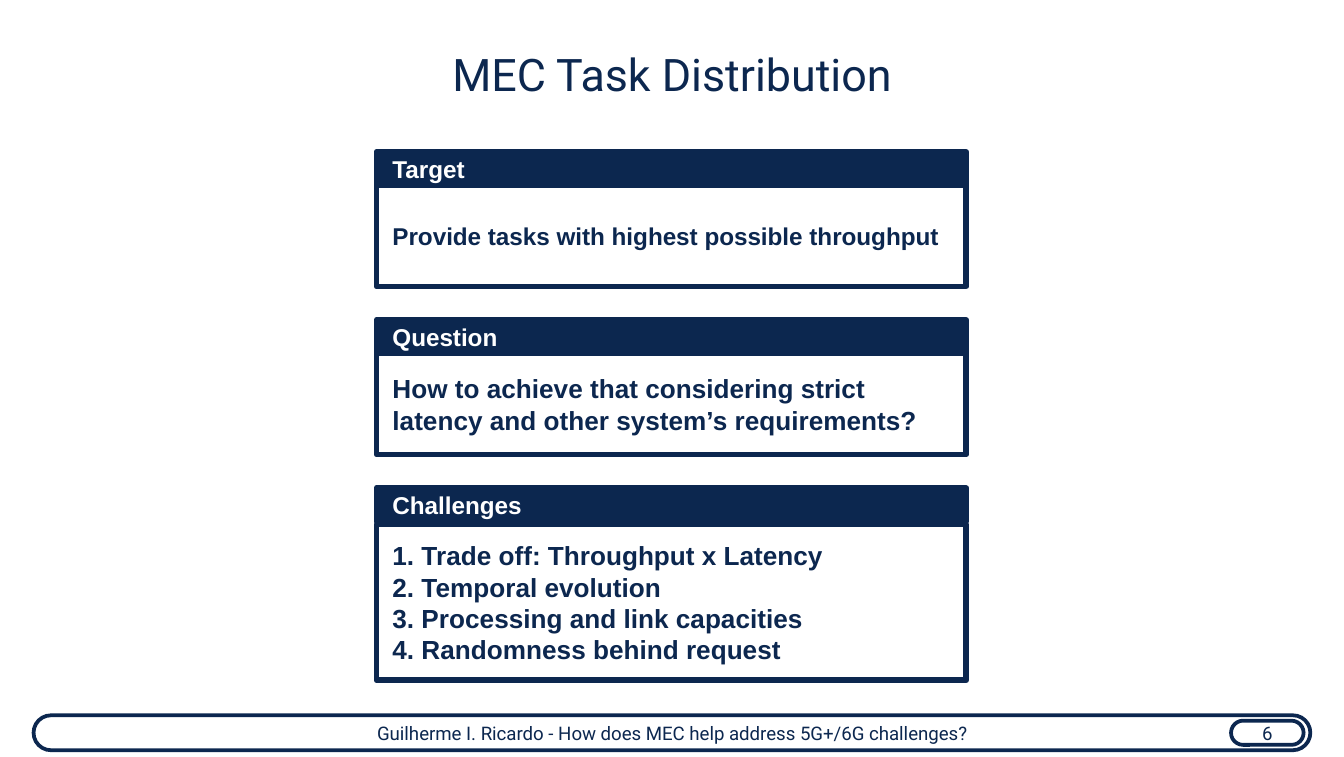
from dataclasses import dataclass

from pptx import Presentation
from pptx.dml.color import RGBColor
from pptx.enum.shapes import MSO_SHAPE
from pptx.enum.text import MSO_ANCHOR, PP_ALIGN
from pptx.util import Inches, Pt

RECTANGLE, PILL = MSO_SHAPE.RECTANGLE, MSO_SHAPE.ROUNDED_RECTANGLE
LEFT, CENTER = PP_ALIGN.LEFT, PP_ALIGN.CENTER
TOP, MIDDLE = MSO_ANCHOR.TOP, MSO_ANCHOR.MIDDLE
TITLE_ONLY = 5


@dataclass(frozen=True)
class Theme:
    navy: RGBColor = RGBColor(0x0C, 0x27, 0x4F)
    white: RGBColor = RGBColor(0xFF, 0xFF, 0xFF)
    title_font: str = "Roboto"
    body_font: str = "Arial"
    title_size: int = 24
    heading_size: int = 13
    body_size: int = 14
    footer_size: int = 10
    panel_line: int = 3
    footer_line: int = 2


THEME = Theme()


def set_attributes(target, values):
    for name, value in values.items():
        setattr(target, name, value)


def write_text(shape, lines, font, alignment=LEFT, anchor=MIDDLE, insets=(0.1, 0.1)):
    """Fill a shape with one paragraph per line; insets are (sides, top and bottom)."""
    side, end = (Inches(inset) for inset in insets)
    frame = shape.text_frame
    set_attributes(frame, {
        "word_wrap": True, "vertical_anchor": anchor,
        "margin_left": side, "margin_right": side,
        "margin_top": end, "margin_bottom": end,
    })
    frame.text = "\n".join(lines)
    color = font.pop("color")
    for paragraph in frame.paragraphs:
        paragraph.alignment = alignment
        set_attributes(paragraph.font, font)
        paragraph.font.color.rgb = color


def add_box(shapes, kind, box, line_width, fill=None):
    shape = shapes.add_shape(kind, *(Inches(length) for length in box))
    shape.shadow.inherit = False
    if fill is None:
        shape.fill.background()
    else:
        shape.fill.solid()
        shape.fill.fore_color.rgb = fill
    shape.line.color.rgb = THEME.navy
    shape.line.width = Pt(line_width)
    return shape


def place_title(slide, box, text):
    title = slide.shapes.title
    set_attributes(title, dict(zip(("left", "top", "width", "height"), map(Inches, box))))
    font = {"name": THEME.title_font, "size": Pt(THEME.title_size), "color": THEME.navy}
    write_text(title, [text], font, CENTER, TOP, (0, 0.1))


def add_panel(slide, box, heading, lines, body_size=THEME.body_size, gap=0):
    """A heading bar above a framed body, grouped together."""
    left, top, width, height = box
    bar_height = 0.25
    body_top = top + bar_height + gap
    shapes = slide.shapes.add_group_shape().shapes
    parts = (
        ((left, body_top, width, top + height - body_top),
         lines, body_size, THEME.white, THEME.navy, 0.07),
        ((left, top, width, bar_height),
         [heading], THEME.heading_size, THEME.navy, THEME.white, 0.12),
    )
    for part_box, part_lines, size, fill, color, end_inset in parts:
        shape = add_box(shapes, RECTANGLE, part_box, THEME.panel_line, fill)
        font = {"name": THEME.body_font, "size": Pt(size), "bold": True, "color": color}
        write_text(shape, part_lines, font, insets=(0.12, end_inset))


def add_footer(slide, box, text, number):
    left, top, width, height = box
    number_width, margin = 0.54, 0.04
    number_box = (left + width - number_width - 0.05, top + margin,
                  number_width, height - 2 * margin)
    for pill_box, label, end_inset in ((box, text, 0.09), (number_box, number, 0.06)):
        pill = add_box(slide.shapes, PILL, pill_box, THEME.footer_line)
        pill.adjustments[0] = 0.5
        font = {"name": THEME.title_font, "size": Pt(THEME.footer_size), "color": THEME.navy}
        write_text(pill, [label], font, CENTER, insets=(0.1, end_inset))


def main():
    presentation = Presentation()
    presentation.slide_width, presentation.slide_height = Inches(10), Inches(5.63)
    slide = presentation.slides.add_slide(presentation.slide_layouts[TITLE_ONLY])

    # Footer bar with the page number
    add_footer(slide, (0.25, 5.32, 9.5, 0.26),
               "Guilherme I. Ricardo - How does MEC help address 5G+/6G challenges?", "6")

    # Title
    place_title(slide, (0.25, 0.25, 9.5, 1.03), "MEC Task Distribution")

    # Panels, stacked at an equal pitch
    panels = (
        (1.0, {"heading": "Target", "body_size": 13,
               "lines": ["Provide tasks with highest possible throughput"]}),
        (1.0, {"heading": "Question",
               "lines": ["How to achieve that considering strict latency "
                         "and other system’s requirements?"]}),
        (1.43, {"heading": "Challenges", "gap": 0.02,
                "lines": ["1. Trade off: Throughput x Latency",
                          "2. Temporal evolution",
                          "3. Processing and link capacities",
                          "4. Randomness behind request"]}),
    )
    first_top, pitch = 1.13, 1.25
    for index, (height, content) in enumerate(panels):
        add_panel(slide, (2.8, first_top + index * pitch, 4.39, height), **content)

    presentation.save("out.pptx")


if __name__ == "__main__":
    main()
